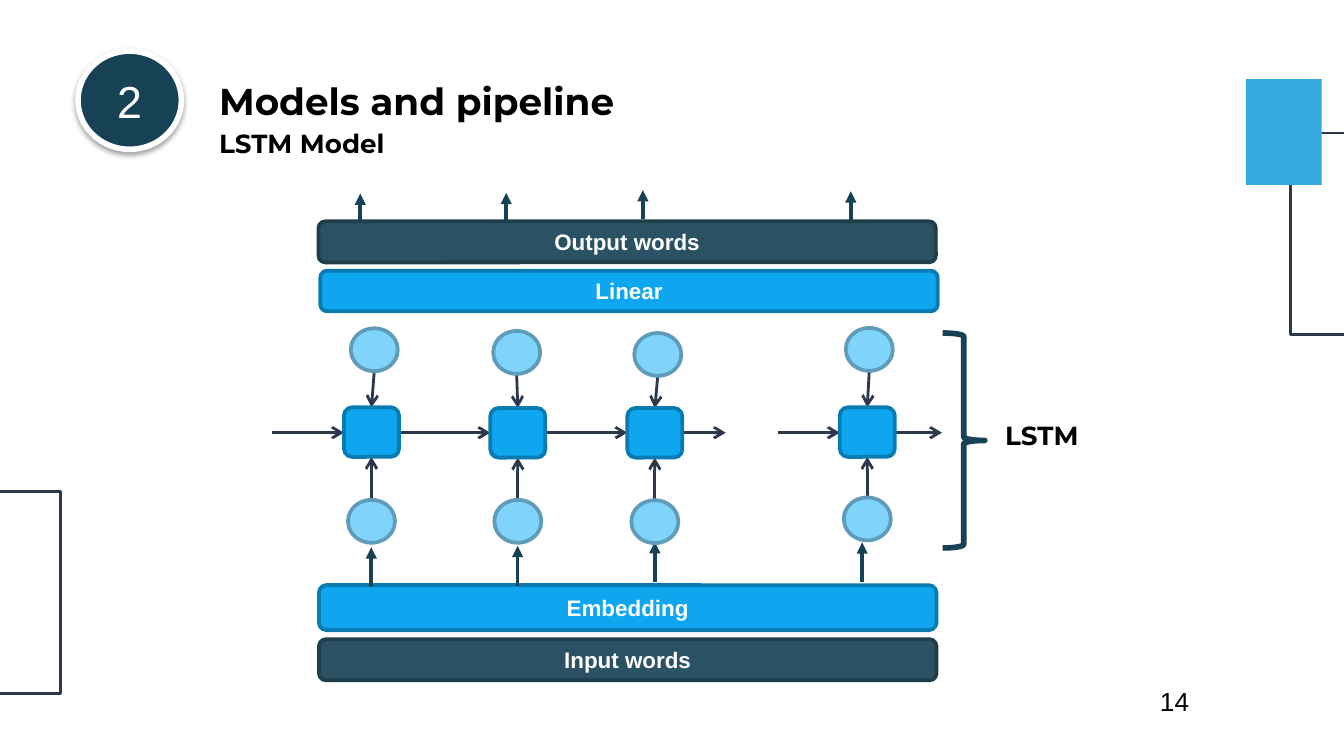
from dataclasses import dataclass
from itertools import pairwise

from lxml.etree import SubElement
from pptx import Presentation
from pptx.dml.color import RGBColor
from pptx.enum.shapes import MSO_CONNECTOR, MSO_SHAPE
from pptx.enum.text import MSO_ANCHOR, PP_ALIGN
from pptx.oxml.ns import qn
from pptx.shapes.autoshape import Shape
from pptx.slide import Slide
from pptx.util import Pt

WHITE = RGBColor(0xFF, 0xFF, 0xFF)
BLACK = RGBColor(0, 0, 0)
NAVY = RGBColor(0x17, 0x41, 0x55)
INK = RGBColor(0x2B, 0x39, 0x4A)
SKY = RGBColor(0x35, 0xA9, 0xE0)
BLUE = RGBColor(0x0E, 0xA6, 0xEE)
BLUE_EDGE = RGBColor(0x0A, 0x7B, 0xB0)
SLATE = RGBColor(0x2B, 0x52, 0x64)
SLATE_EDGE = RGBColor(0x20, 0x3D, 0x4A)
PALE = RGBColor(0x80, 0xD3, 0xFA)
PALE_EDGE = RGBColor(0x5F, 0x9C, 0xB9)

CELL_WIDTH, CELL_HEIGHT = 29.5, 26.6
STATE_WIDTH, STATE_HEIGHT = 25.2, 23
FLOW_Y = 231.8


@dataclass(frozen=True)
class Bar:
    text: str
    left: float
    top: float
    height: float
    fill: RGBColor
    edge: RGBColor


@dataclass(frozen=True)
class Step:
    """One time step; x values are centres."""
    x: float
    cell_top: float
    input_top: float
    state_x: float
    state_top: float
    embedding_x: float
    embedding_y: float
    output_x: float
    output_y: float


@dataclass(frozen=True)
class Label:
    text: str
    left: float
    top: float
    width: float
    height: float
    size: float
    wrap: bool = False
    font: str = "Montserrat"
    bold: bool = True
    inset: float = 7.2


BARS = (
    Bar("Output words", 170.6, 118.6, 22, SLATE, SLATE_EDGE),
    Bar("Linear", 171.6, 145, 21.8, BLUE, BLUE_EDGE),
    Bar("Embedding", 170.9, 313.5, 24.1, BLUE, BLUE_EDGE),
    Bar("Input words", 170.9, 342.5, 22, SLATE, SLATE_EDGE),
)
STEPS = (
    Step(199, 218.2, 267.8, 200.5, 175.9, 198.9, 314.6, 193, 119.2),
    Step(277.4, 218.6, 267.8, 276.8, 177.3, 277.3, 313.9, 271.2, 118.8),
    Step(350.8, 218.6, 268, 352.4, 178.4, 350.8, 311.8, 344.4, 117.4),
    Step(464.6, 218.2, 266.5, 465.7, 175.7, 461.9, 312, 455.8, 118),
)
LABELS = (
    Label("Models and pipeline", 110.3, 38.2, 314.6, 31.5, 20, wrap=True),
    Label("LSTM Model", 110.3, 64.8, 104.4, 24.2, 14),
    Label("LSTM", 531.4, 221.2, 54, 24.2, 14),
    Label("14", 603.4, 363.6, 77.8, 31.7, 14, True, "Arial", False, 18),
)


def add_box(slide: Slide, kind: MSO_SHAPE, left: float, top: float,
            width: float, height: float, fill: RGBColor | None,
            edge: RGBColor | None, weight: float = 2) -> Shape:
    shape = slide.shapes.add_shape(kind, Pt(left), Pt(top), Pt(width), Pt(height))
    shape.shadow.inherit = False
    if fill is None:
        shape.fill.background()
    else:
        shape.fill.solid()
        shape.fill.fore_color.rgb = fill
    if edge is None:
        shape.line.fill.background()
    else:
        shape.line.color.rgb = edge
        shape.line.width = Pt(weight)
    return shape


def add_arrow(slide: Slide, start: tuple[float, float], end: tuple[float, float],
              color: RGBColor = INK, weight: float = 1.5, head: str = "arrow") -> None:
    connector = slide.shapes.add_connector(
        MSO_CONNECTOR.STRAIGHT, *(Pt(value) for value in start + end))
    connector.line.color.rgb = color
    connector.line.width = Pt(weight)
    properties = connector._element.spPr
    SubElement(properties.find(qn("a:ln")), qn("a:tailEnd"), type=head)
    SubElement(properties, qn("a:effectLst"))


def write_text(shape: Shape, text: str, size: float, color: RGBColor,
               font: str, bold: bool) -> None:
    paragraph = shape.text_frame.paragraphs[0]
    paragraph.text = text
    paragraph.font.size = Pt(size)
    paragraph.font.name = font
    paragraph.font.bold = bold
    paragraph.font.color.rgb = color


def write_centred(shape: Shape, text: str, size: float, bold: bool) -> None:
    shape.text_frame.vertical_anchor = MSO_ANCHOR.MIDDLE
    shape.text_frame.paragraphs[0].alignment = PP_ALIGN.CENTER
    write_text(shape, text, size, WHITE, "Arial", bold)


def add_label(slide: Slide, label: Label) -> None:
    box = slide.shapes.add_textbox(
        Pt(label.left), Pt(label.top), Pt(label.width), Pt(label.height))
    box.text_frame.word_wrap = label.wrap
    box.text_frame.margin_left = Pt(label.inset)
    write_text(box, label.text, label.size, BLACK, label.font, label.bold)


def add_decoration(slide: Slide) -> None:
    for left, top in ((691.2, 71.3), (-59.8, 263.5)):
        add_box(slide, MSO_SHAPE.RECTANGLE, left, top, 92.4, 108, None, INK, 1.5)
    add_box(slide, MSO_SHAPE.RECTANGLE, 667.5, 42.4, 40.6, 56.7, SKY, None)


def add_section_number(slide: Slide) -> None:
    badge = add_box(slide, MSO_SHAPE.OVAL, 41.8, 27.4, 55.4, 52.6, NAVY, WHITE, 3)
    write_centred(badge, "2", 24, False)
    effects = badge._element.spPr.find(qn("a:effectLst"))
    shadow = SubElement(effects, qn("a:outerShdw"), blurRad=str(Pt(3.1)),
                        dist=str(Pt(1.6)), dir="5400000", rotWithShape="0")
    color = SubElement(shadow, qn("a:srgbClr"), val="000000")
    SubElement(color, qn("a:alpha"), val="38000")


def add_step(slide: Slide, step: Step) -> None:
    cell_bottom = step.cell_top + CELL_HEIGHT
    add_arrow(slide, (step.embedding_x, step.embedding_y),
              (step.embedding_x, step.embedding_y - 21.4), NAVY, 2, "triangle")
    add_arrow(slide, (step.output_x, step.output_y),
              (step.output_x, step.output_y - 15.5), NAVY, 2, "triangle")
    add_arrow(slide, (step.x, step.input_top), (step.x, cell_bottom))
    add_arrow(slide, (step.state_x, step.state_top + STATE_HEIGHT),
              (step.x, step.cell_top))
    add_box(slide, MSO_SHAPE.ROUNDED_RECTANGLE, step.x - CELL_WIDTH / 2,
            step.cell_top, CELL_WIDTH, CELL_HEIGHT, BLUE, BLUE_EDGE)
    for x, top in ((step.x, step.input_top), (step.state_x, step.state_top)):
        add_box(slide, MSO_SHAPE.OVAL, x - STATE_WIDTH / 2, top,
                STATE_WIDTH, STATE_HEIGHT, PALE, PALE_EDGE)


def add_flow(slide: Slide) -> None:
    """Chain the cells, leaving a gap before the last one."""
    half = CELL_WIDTH / 2
    first, *_, third, last = STEPS
    spans = [(145.6, first.x - half), (third.x + half, 388.8),
             (416.8, last.x - half), (last.x + half, 504.6)]
    spans += [(a.x + half, b.x - half) for a, b in pairwise(STEPS[:3])]
    for start, end in spans:
        add_arrow(slide, (start, FLOW_Y), (end, FLOW_Y))


def main() -> None:
    presentation = Presentation()
    presentation.slide_width = Pt(720)
    presentation.slide_height = Pt(405)
    slide = presentation.slides.add_slide(presentation.slide_layouts[6])
    add_decoration(slide)
    add_section_number(slide)
    for bar in BARS:
        shape = add_box(slide, MSO_SHAPE.ROUNDED_RECTANGLE, bar.left, bar.top,
                        330.8, bar.height, bar.fill, bar.edge)
        write_centred(shape, bar.text, 12, True)
    add_flow(slide)
    for step in STEPS:
        add_step(slide, step)
    add_box(slide, MSO_SHAPE.RIGHT_BRACE, 505, 178.4, 22.6, 115.2, None, NAVY, 3)
    for label in LABELS:
        add_label(slide, label)
    presentation.save("out.pptx")


if __name__ == "__main__":
    main()
